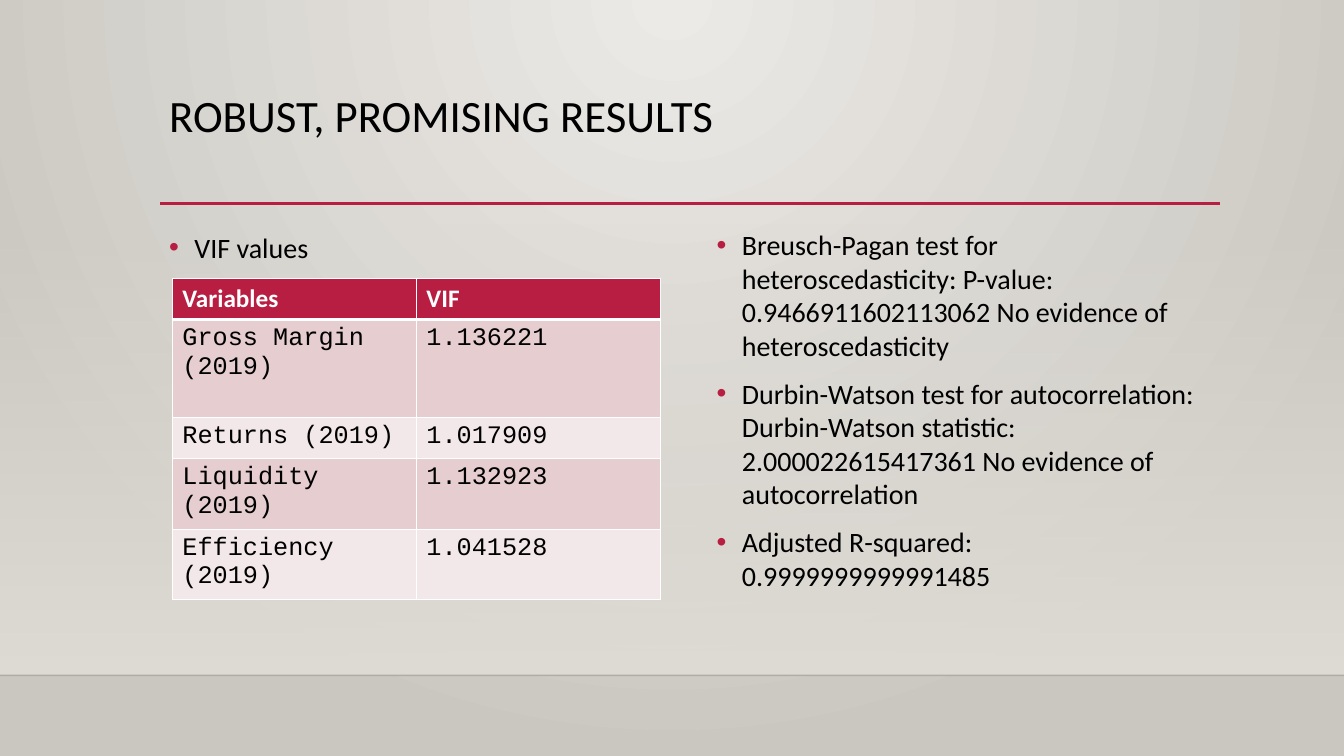
from dataclasses import dataclass

from lxml.etree import SubElement
from pptx import Presentation
from pptx.dml.color import RGBColor
from pptx.enum.shapes import MSO_CONNECTOR as Connector, MSO_SHAPE as Shape
from pptx.enum.text import MSO_ANCHOR as Anchor
from pptx.oxml import parse_xml
from pptx.oxml.ns import nsdecls, qn
from pptx.util import Inches, Pt


@dataclass(frozen=True)
class Theme:
    body_font: str = "Calibri"
    data_font: str = "Courier New"
    title_size: int = 32
    body_size: int = 20
    table_size: int = 18
    ink: str = "000000"
    white: str = "FFFFFF"
    accent: str = "B71E42"
    bands: tuple = ("E6CDCF", "F3E8E9")
    backdrop: tuple = (("ECEAE7", 100), ("CAC7C1", 100))
    veil: tuple = (("DFDBD5", 0), ("DFDBD5", 100))


THEME = Theme()
VIF_ROWS = [
    ("Variables", "VIF"),
    ("Gross Margin (2019)", "1.136221"),
    ("Returns (2019)", "1.017909"),
    ("Liquidity (2019)", "1.132923"),
    ("Efficiency (2019)", "1.041528"),
]
ROW_HEIGHTS = [0.41, 0.97, 0.41, 0.67, 0.67]
TESTS = [
    "Breusch-Pagan test for heteroscedasticity: P-value: "
    "0.9466911602113062 No evidence of heteroscedasticity",
    "Durbin-Watson test for autocorrelation: Durbin-Watson statistic: "
    "2.000022615417361 No evidence of autocorrelation",
    "Adjusted R-squared: 0.9999999999991485",
]
CIRCLE_FROM_TOP = ('<a:path path="circle"><a:fillToRect l="43000" t="0" '
                   'r="43000" b="100000"/></a:path>')
DOWNWARD = '<a:lin ang="5400000" scaled="0"/>'


def set_gradient(fill, owner, stops, direction):
    """Give the owner's fill two colour stops of (colour, opacity percent)."""
    fill.solid()
    fill.fore_color.rgb = RGBColor.from_string(stops[0][0])
    stop_xml = "".join(
        f'<a:gs pos="{place * 100000}"><a:srgbClr val="{color}">'
        f'<a:alpha val="{opacity * 1000}"/></a:srgbClr></a:gs>'
        for place, (color, opacity) in enumerate(stops))
    gradient = parse_xml(f'<a:gradFill {nsdecls("a")} rotWithShape="1">'
                         f'<a:gsLst>{stop_xml}</a:gsLst>{direction}</a:gradFill>')
    solid = next(owner.iter(qn("a:solidFill")))
    solid.getparent().replace(solid, gradient)


def add_veil(page):
    veil = page.shapes.add_shape(
        Shape.RECTANGLE, 0, Inches(2.21), Inches(13.33), Inches(4.49))
    veil.shadow.inherit = False
    veil.line.fill.background()
    set_gradient(veil.fill, veil.element.spPr, THEME.veil, DOWNWARD)


def add_rule(page, left, right, top, color, width, opacity=100):
    rule = page.shapes.add_connector(
        Connector.STRAIGHT, Inches(left), Inches(top), Inches(right), Inches(top))
    rule.line.color.rgb = RGBColor.from_string(color)
    rule.line.width = Pt(width)
    properties = rule.element.spPr
    tint = next(properties.iter(qn("a:srgbClr")))
    SubElement(tint, qn("a:alpha")).set("val", str(opacity * 1000))
    SubElement(properties, qn("a:effectLst"))


def write(para, text, size, font=THEME.body_font, color=THEME.ink, bold=False):
    span = para.add_run()
    span.text = text
    formats = {"name": font, "size": Pt(size), "bold": bold}
    for name, value in formats.items():
        setattr(span.font, name, value)
    span.font.color.rgb = RGBColor.from_string(color)


def add_bullet(para):
    properties = para._p.get_or_add_pPr()
    hang = Inches(0.25)
    properties.set("marL", str(hang))
    properties.set("indent", str(-hang))
    color = SubElement(properties, qn("a:buClr"))
    SubElement(color, qn("a:srgbClr")).set("val", THEME.accent)
    SubElement(properties, qn("a:buFont")).set("typeface", "Arial")
    SubElement(properties, qn("a:buChar")).set("char", "•")


def add_text(page, place, texts, size, spacing=1.0, bulleted=True):
    box = page.shapes.add_textbox(*map(Inches, place))
    frame = box.text_frame
    frame.word_wrap = True
    frame.vertical_anchor = Anchor.TOP
    for index, text in enumerate(texts):
        para = frame.add_paragraph() if index else frame.paragraphs[0]
        para.line_spacing = spacing
        if bulleted:
            para.space_before = Pt(10)
            add_bullet(para)
        write(para, text, size)


def add_borders(cell, bottom):
    properties = cell._tc.get_or_add_tcPr()
    widths = {"lnL": 1, "lnR": 1, "lnT": 1, "lnB": bottom}
    for index, (side, width) in enumerate(widths.items()):
        properties.insert(index, parse_xml(
            f'<a:{side} {nsdecls("a")} w="{Pt(width)}"><a:solidFill>'
            f'<a:srgbClr val="{THEME.white}"/></a:solidFill></a:{side}>'))


def add_vif_table(page):
    table = page.shapes.add_table(
        len(VIF_ROWS), 2, Inches(1.71), Inches(2.76),
        Inches(4.84), Inches(sum(ROW_HEIGHTS))).table
    for column in table.columns:
        column.width = Inches(2.42)
    for index, values in enumerate(VIF_ROWS):
        table.rows[index].height = Inches(ROW_HEIGHTS[index])
        header = index == 0
        fill = THEME.accent if header else THEME.bands[(index - 1) % 2]
        font = THEME.body_font if header else THEME.data_font
        color = THEME.white if header else THEME.ink
        for cell, value in zip(table.rows[index].cells, values):
            cell.fill.solid()
            cell.fill.fore_color.rgb = RGBColor.from_string(fill)
            add_borders(cell, bottom=3 if header else 1)
            write(cell.text_frame.paragraphs[0], value, THEME.table_size,
                  font, color, header)


def main():
    deck = Presentation()
    deck.slide_width, deck.slide_height = Inches(13.33), Inches(7.5)
    page = deck.slides.add_slide(deck.slide_layouts[6])
    set_gradient(page.background.fill, page.element, THEME.backdrop, CIRCLE_FROM_TOP)
    add_veil(page)
    add_rule(page, 0, 13.33, 6.7, THEME.ink, 1, opacity=20)
    add_rule(page, 1.59, 12.1, 2.02, THEME.accent, 2.5)
    add_text(page, (1.58, 0.88, 10.5, 1.16), ["ROBUST, PROMISING RESULTS"],
             THEME.title_size, spacing=0.9, bulleted=False)
    add_text(page, (1.58, 2.2, 5.08, 3.77), ["VIF values"],
             THEME.body_size, spacing=1.1)
    add_text(page, (7.01, 2.21, 5.08, 3.76), TESTS, THEME.body_size)
    add_vif_table(page)
    deck.save("out.pptx")


if __name__ == "__main__":
    main()
